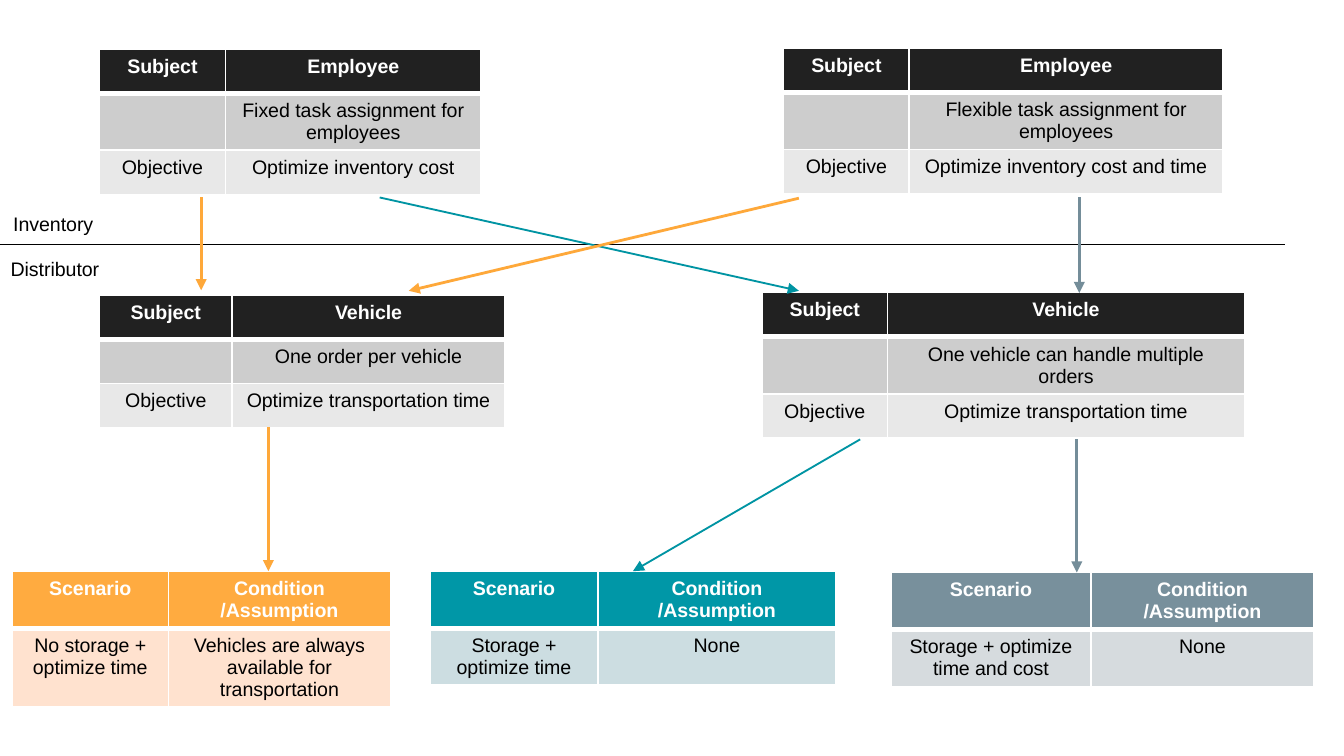
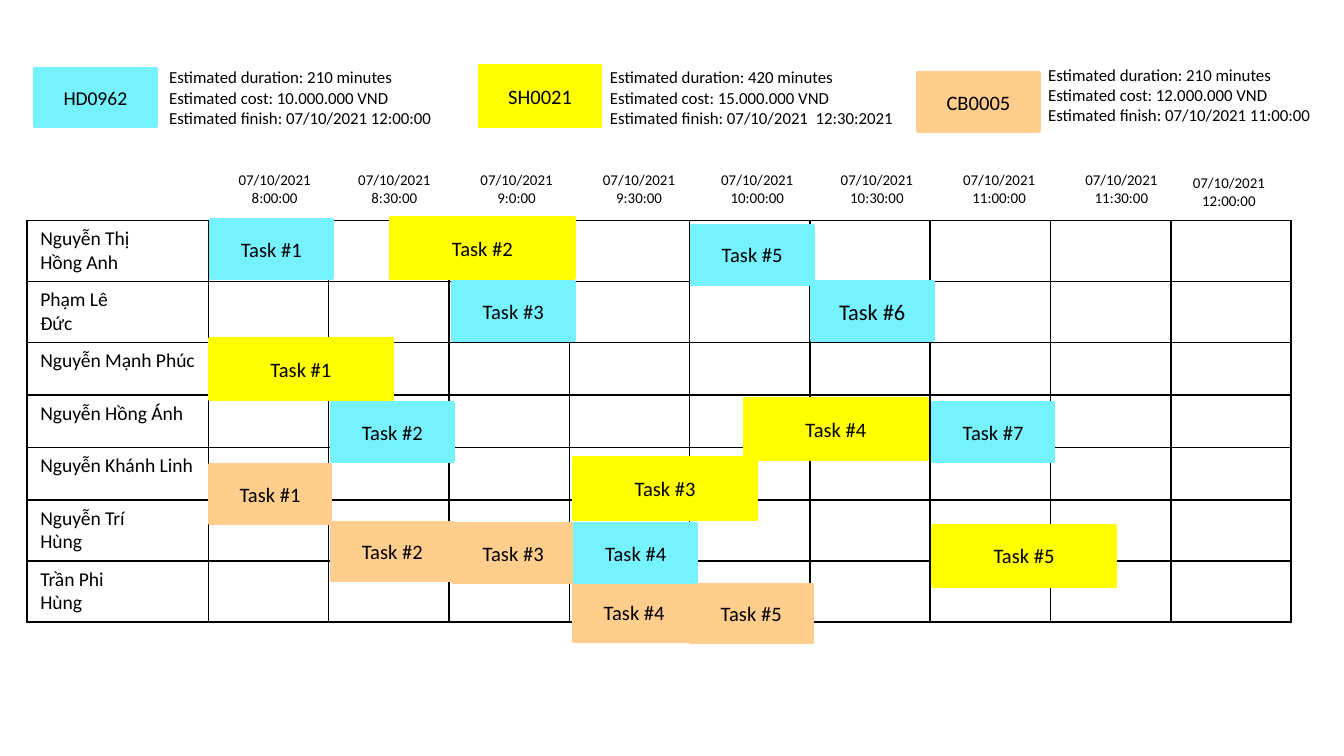
from dataclasses import dataclass

from lxml.etree import SubElement
from pptx import Presentation
from pptx.dml.color import RGBColor
from pptx.enum.shapes import MSO_CONNECTOR, MSO_SHAPE
from pptx.enum.text import MSO_ANCHOR, MSO_AUTO_SIZE, PP_ALIGN
from pptx.oxml.ns import qn
from pptx.util import Pt


@dataclass(frozen=True)
class Theme:
    black: str = "000000"
    white: str = "FFFFFF"
    subject_head: str = "212121"
    subject_rows: tuple = ("CDCDCD", "E8E8E8")
    time_head: str = "FFAB40"
    time_row: str = "FFE2CF"
    storage_head: str = "0097A7"
    storage_row: str = "CCDDE1"
    cost_head: str = "78909C"
    cost_row: str = "D6DBDE"
    time_path: str = "FEA83A"
    storage_path: str = "0094A3"
    cost_path: str = "748D99"
    order_hd: str = "76F2FF"
    order_sh: str = "FFFF00"
    order_cb: str = "FFCD8C"
    flow_font: str = "Arial"
    schedule_font: str = "Calibri"
    body: float = 10.5
    task: float = 11
    large_task: float = 12
    estimate: float = 9
    time: float = 8


def apply(target, values):
    for name, value in values.items():
        setattr(target, name, value)


class Deck:
    def __init__(self, theme):
        self.theme = theme
        self.file = Presentation()
        apply(self.file, {"slide_width": Pt(720), "slide_height": Pt(405)})
        self.slide = None
        self.font = None

    def new_slide(self, font):
        self.slide = self.file.slides.add_slide(self.file.slide_layouts[6])
        self.font = font
        backdrop = self.slide.background.fill
        backdrop.solid()
        backdrop.fore_color.rgb = RGBColor.from_string(self.theme.white)

    def put_text(self, frame, text, size, align=PP_ALIGN.LEFT, color=None, bold=False):
        for index, line in enumerate(text.split("\n")):
            paragraph = frame.add_paragraph() if index else frame.paragraphs[0]
            paragraph.alignment = align
            if line:
                run = paragraph.add_run()
                run.text = line
                apply(run.font, {"name": self.font, "size": Pt(size), "bold": bold})
                run.font.color.rgb = RGBColor.from_string(color or self.theme.black)
            else:
                SubElement(paragraph._p, qn("a:endParaRPr"), sz=str(int(size * 100)))

    def border(self, cell, color, bottom=1):
        properties = cell._tc.get_or_add_tcPr()
        for side, width in {"L": 1, "R": 1, "T": 1, "B": bottom}.items():
            edge = SubElement(properties, qn(f"a:ln{side}"), w=str(Pt(width)))
            paint = SubElement(edge, qn("a:solidFill"))
            SubElement(paint, qn("a:srgbClr"), val=color)

    def table(self, left, top, height, columns, row_height, rows, fills,
              edge, align, header):
        frame = self.slide.shapes.add_table(
            len(rows), len(columns), Pt(left), Pt(top), Pt(sum(columns)), Pt(height))
        grid = frame.table
        apply(grid, {"first_row": False, "horz_banding": False})
        for column, width in zip(grid.columns, columns):
            column.width = Pt(width)
        for index, (row, texts, fill) in enumerate(zip(grid.rows, rows, fills)):
            row.height = Pt(row_height)
            heading = header and index == 0
            for cell, text in zip(row.cells, texts):
                self.border(cell, edge, 3 if heading else 1)
                cell.fill.solid()
                cell.fill.fore_color.rgb = RGBColor.from_string(fill)
                self.put_text(cell.text_frame, text, self.theme.body, align,
                              self.theme.white if heading else self.theme.black, heading)
        frame.height = Pt(height)

    def flow_table(self, left, top, height, columns, rows, fills):
        self.table(left, top, height, columns, 23.8, rows, fills,
                   self.theme.white, PP_ALIGN.CENTER, True)

    def line(self, start, end, color, width, arrow=True):
        connector = self.slide.shapes.add_connector(
            MSO_CONNECTOR.STRAIGHT, *(Pt(value) for value in start + end))
        connector.line.width = Pt(width)
        connector.line.color.rgb = RGBColor.from_string(color)
        properties = connector._element.spPr
        if arrow:
            SubElement(properties.find(qn("a:ln")), qn("a:tailEnd"), type="triangle")
        SubElement(properties, qn("a:effectLst"))

    def label(self, left, top, width, height, text, size, align=PP_ALIGN.LEFT):
        box = self.slide.shapes.add_textbox(Pt(left), Pt(top), Pt(width), Pt(height))
        apply(box.text_frame, {"word_wrap": True,
                               "auto_size": MSO_AUTO_SIZE.SHAPE_TO_FIT_TEXT})
        self.put_text(box.text_frame, text, size, align)

    def block(self, left, top, width, height, text, color, size):
        block = self.slide.shapes.add_shape(
            MSO_SHAPE.RECTANGLE, Pt(left), Pt(top), Pt(width), Pt(height))
        block.shadow.inherit = False
        block.fill.solid()
        for paint in (block.fill.fore_color, block.line.color):
            paint.rgb = RGBColor.from_string(color)
        block.line.width = Pt(2)
        apply(block.text_frame, {"word_wrap": True,
                                 "vertical_anchor": MSO_ANCHOR.MIDDLE})
        self.put_text(block.text_frame, text, size, PP_ALIGN.CENTER)


def build_scenarios(deck):
    theme = deck.theme
    deck.new_slide(theme.flow_font)

    subjects = (
        (53.3, 26.2, 79.9, (67.5, 137), "Employee",
         "Fixed task assignment for employees", "Optimize inventory cost"),
        (419.8, 25.8, 79.9, (67.3, 168.2), "Employee",
         "Flexible task assignment for employees", "Optimize inventory cost and time"),
        (53.3, 157.9, 71.3, (71.1, 146.2), "Vehicle",
         "One order per vehicle", "Optimize transportation time"),
        (408.4, 156.7, 79.9, (67, 191.5), "Vehicle",
         "One vehicle can handle multiple orders", "Optimize transportation time"),
    )
    for left, top, height, columns, subject, policy, objective in subjects:
        deck.flow_table(left, top, height, columns,
                        (("Subject", subject), ("", policy), ("Objective", objective)),
                        (theme.subject_head, *theme.subject_rows))

    deck.line((-3.6, 131), (688.3, 131), theme.black, 0.75, arrow=False)

    scenarios = (
        (6.5, 306, 77, (83.8, 118.9), "No storage + optimize time",
         "Vehicles are always available for transportation",
         theme.time_head, theme.time_row),
        (230.4, 306, 64.8, (90, 127.4), "Storage + optimize time", "None",
         theme.storage_head, theme.storage_row),
        (477.4, 306.7, 64.8, (107, 119.6), "Storage + optimize time and cost", "None",
         theme.cost_head, theme.cost_row),
    )
    for left, top, height, columns, scenario, condition, head, row in scenarios:
        deck.flow_table(left, top, height, columns,
                        (("Scenario", "Condition\n/Assumption"), (scenario, condition)),
                        (head, row))

    arrows = (
        ((107.8, 105.8), (107.8, 155.5), theme.time_path, 1.5),
        ((143.8, 229), (143.8, 306), theme.time_path, 1.5),
        ((203.4, 105.8), (428, 155.8), theme.storage_path, 1),
        ((460.8, 235.4), (339.1, 306), theme.storage_path, 1),
        ((578.2, 105.8), (578.2, 157), theme.cost_path, 1.5),
        ((576.9, 235.4), (576.9, 306.7), theme.cost_path, 1.5),
        ((428, 106.2), (219, 155.8), theme.time_path, 1.5),
    )
    for arrow in arrows:
        deck.line(*arrow)

    for left, top, stage in ((0, 110.2, "Inventory"), (-1.4, 133.9, "Distributor")):
        deck.label(left, top, 87.1, 20.9, stage, theme.body)


def build_schedule(deck):
    theme = deck.theme
    deck.new_slide(theme.schedule_font)

    employees = ("Nguyễn Thị\nHồng Anh", "Phạm Lê \nĐức", "Nguyễn Mạnh Phúc",
                 "Nguyễn Hồng Ánh", "Nguyễn Khánh Linh", "Nguyễn Trí\nHùng",
                 "Trần Phi \nHùng")
    slots = 9
    deck.table(14.4, 118.1, 226.8, (97.2,) + (64.48,) * slots, 28.1,
               [(employee,) + ("",) * slots for employee in employees],
               [theme.white] * len(employees), theme.black, PP_ALIGN.LEFT, False)

    times = ((120.2, "8:00"), (184.3, "8:30"), (249.8, "9:0"), (315.4, "9:30"),
             (378.7, "10:00"), (442.8, "10:30"), (508.3, "11:00"), (573.8, "11:30"),
             (631.4, "12:00"))
    for left, time in times:
        top = 89.3 if time == "12:00" else 87.8
        deck.label(left, top, 54, 26.6, f"07/10/2021\n{time}:00",
                   theme.time, PP_ALIGN.CENTER)

    short, long = (64.8, 31), (97.9, 32.4)
    orders = (
        (theme.order_hd, short, ((113, 118.1, 1), (177.8, 216, 2), (242.6, 151.2, 3),
                                 (370.6, 121, 5), (434.9, 151.2, 6), (499.7, 216, 7))),
        (theme.order_sh, long, ((112.3, 181.4, 1), (209.5, 116.6, 2), (307.4, 245.5, 3),
                                (398.9, 213.8, 4), (499.7, 281.5, 5))),
        (theme.order_cb, short, ((112.3, 249.1, 1), (177.8, 280.1, 2), (242.6, 280.8, 3),
                                 (307.4, 312.5, 4), (370.1, 313.2, 5))),
        (theme.order_hd, short, ((308.2, 280.8, 4),)),
    )
    for color, extent, tasks in orders:
        for left, top, number in tasks:
            size = theme.large_task if number == 6 else theme.task
            deck.block(left, top, *extent, f"Task #{number}", color, size)

    legend = (
        ("HD0962", theme.order_hd, theme.body, (18.7, 36.7, 64.8, 31),
         (83.5, 32.4, 164.2, 40.3), 210, 10, "07/10/2021 12:00:00"),
        ("SH0021", theme.order_sh, theme.task, (257, 35.3, 64.8, 32.4),
         (319.7, 32.4, 172.1, 40.3), 420, 15, "07/10/2021  12:30:2021"),
        ("CB0005", theme.order_cb, theme.task, (491.8, 39.2, 64.8, 31),
         (554.4, 31, 164.2, 40.3), 210, 12, "07/10/2021 11:00:00"),
    )
    for order, color, size, key, details, minutes, millions, finish in legend:
        deck.block(*key, order, color, size)
        deck.label(*details, f"Estimated duration: {minutes} minutes\n"
                             f"Estimated cost: {millions}.000.000 VND\n"
                             f"Estimated finish: {finish}", theme.estimate)


deck = Deck(Theme())
build_scenarios(deck)
build_schedule(deck)
deck.file.save("out.pptx")
